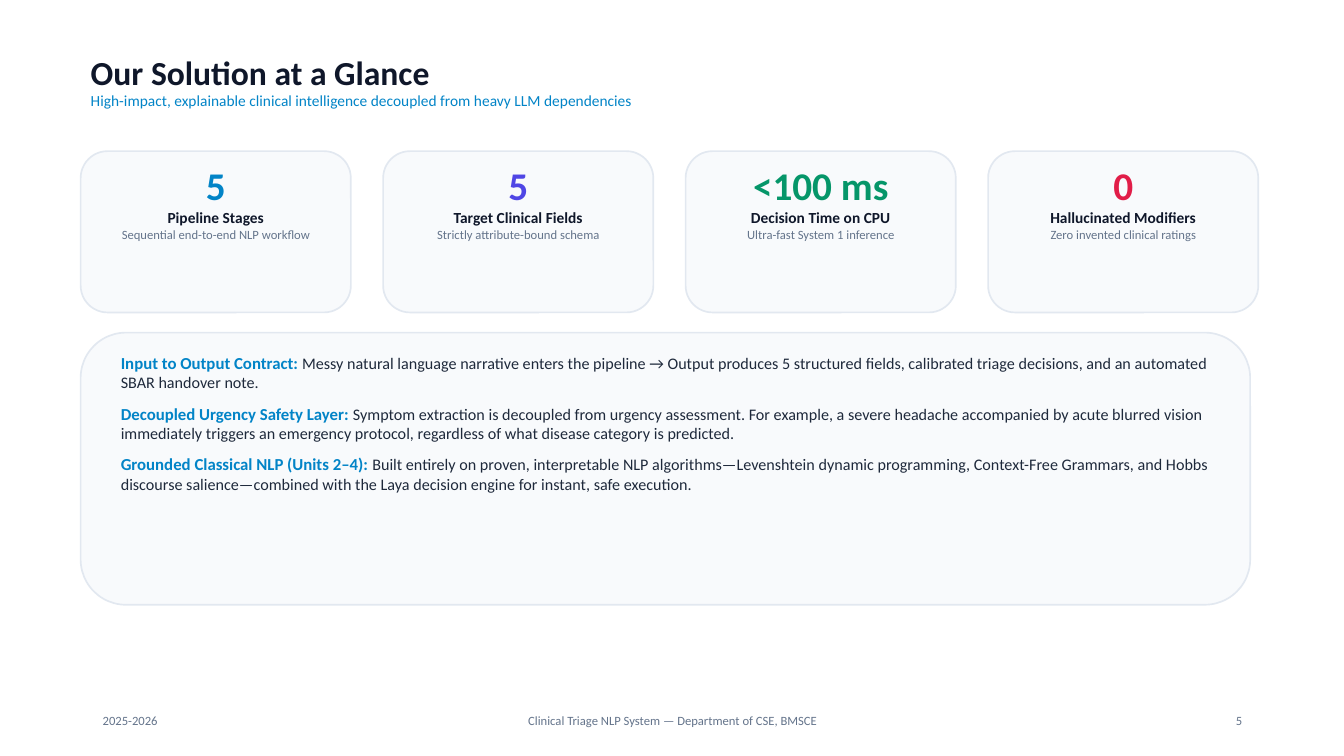
import pptx
import pptx.util
import pptx.dml.color
import pptx.enum.shapes
import pptx.enum.text

Inches, Pt = pptx.util.Inches, pptx.util.Pt
RGBColor = pptx.dml.color.RGBColor
ALIGN = pptx.enum.text.PP_ALIGN
ANCHOR = pptx.enum.text.MSO_ANCHOR

INK = RGBColor(0x0F, 0x17, 0x2A)
BODY = RGBColor(0x1E, 0x29, 0x3B)
MUTED = RGBColor(0x64, 0x74, 0x8B)
PANEL = RGBColor(0xF8, 0xFA, 0xFC)
BORDER = RGBColor(0xE2, 0xE8, 0xF0)
BLUE = RGBColor(0x02, 0x84, 0xC7)
INDIGO = RGBColor(0x4F, 0x46, 0xE5)
GREEN = RGBColor(0x05, 0x96, 0x69)
RED = RGBColor(0xE1, 0x1D, 0x48)
FONT = "Calibri"

TITLE = "Our Solution at a Glance"
SUBTITLE = "High-impact, explainable clinical intelligence decoupled from heavy LLM dependencies"
METRICS = [
    ("5", "Pipeline Stages", "Sequential end-to-end NLP workflow", BLUE),
    ("5", "Target Clinical Fields", "Strictly attribute-bound schema", INDIGO),
    ("<100 ms", "Decision Time on CPU", "Ultra-fast System 1 inference", GREEN),
    ("0", "Hallucinated Modifiers", "Zero invented clinical ratings", RED),
]
DETAILS = [
    ("Input to Output Contract: ",
     "Messy natural language narrative enters the pipeline → Output produces 5 structured "
     "fields, calibrated triage decisions, and an automated SBAR handover note."),
    ("Decoupled Urgency Safety Layer: ",
     "Symptom extraction is decoupled from urgency assessment. For example, a severe headache "
     "accompanied by acute blurred vision immediately triggers an emergency protocol, "
     "regardless of what disease category is predicted."),
    ("Grounded Classical NLP (Units 2–4): ",
     "Built entirely on proven, interpretable NLP algorithms—Levenshtein dynamic programming, "
     "Context-Free Grammars, and Hobbs discourse salience—combined with the Laya decision "
     "engine for instant, safe execution."),
]
FOOTERS = [
    ("2025-2026", 0.92, 3, ALIGN.LEFT),
    ("Clinical Triage NLP System — Department of CSE, BMSCE", 4.42, 4.5, ALIGN.CENTER),
    ("5", 9.42, 3, ALIGN.RIGHT),
]

LEFT = 0.8
CARD_STEP, CARD_TOP, CARD_W, CARD_H = 3, 1.5, 2.68, 1.6
PANEL_TOP, PANEL_W, PANEL_H = 3.3, 11.6, 2.7


def add_panel(slide, x, y, w, h):
    sp = slide.shapes.add_shape(pptx.enum.shapes.MSO_SHAPE.ROUNDED_RECTANGLE,
                                Inches(x), Inches(y), Inches(w), Inches(h))
    sp.shadow.inherit = False
    sp.fill.solid()
    sp.fill.fore_color.rgb = PANEL
    sp.line.color.rgb = BORDER
    sp.line.width = Pt(1.2)


def add_text(slide, x, y, w, h, anchor=ANCHOR.TOP):
    tf = slide.shapes.add_textbox(Inches(x), Inches(y), Inches(w), Inches(h)).text_frame
    tf.word_wrap = True
    tf.vertical_anchor = anchor
    return tf


def style(font, size, color, bold=False):
    font.name = FONT
    font.size = Pt(size)
    font.color.rgb = color
    font.bold = bold


def fill_lines(tf, lines, align, spacing=None):
    for i, (text, size, color, bold) in enumerate(lines):
        p = tf.paragraphs[0] if i == 0 else tf.add_paragraph()
        p.text = text
        p.alignment = align
        p.line_spacing = spacing
        style(p.font, size, color, bold)


def add_title(slide):
    sp = slide.shapes.title
    sp.left, sp.top, sp.width, sp.height = (Inches(v) for v in (LEFT, 0.35, 10.2, 0.95))
    tf = sp.text_frame
    tf.auto_size = pptx.enum.text.MSO_AUTO_SIZE.NONE
    tf.vertical_anchor = ANCHOR.MIDDLE
    fill_lines(tf, [(TITLE, 24, INK, True), (SUBTITLE, 11, BLUE, False)], ALIGN.LEFT, 0.9)


def add_metrics(slide):
    for i, (value, label, note, color) in enumerate(METRICS):
        x = LEFT + i * CARD_STEP
        add_panel(slide, x, CARD_TOP, CARD_W, CARD_H)
        tf = add_text(slide, x + 0.15, CARD_TOP + 0.05, CARD_W - 0.3, CARD_H - 0.1)
        fill_lines(tf, [(value, 28, color, True), (label, 11, INK, True),
                        (note, 9, MUTED, False)], ALIGN.CENTER)


def add_details(slide):
    add_panel(slide, LEFT, PANEL_TOP, PANEL_W, PANEL_H)
    tf = add_text(slide, LEFT + 0.3, PANEL_TOP + 0.15, PANEL_W - 0.6, PANEL_H - 0.3)
    for i, (label, text) in enumerate(DETAILS):
        p = tf.paragraphs[0] if i == 0 else tf.add_paragraph()
        if i:
            p.space_before = Pt(8)
        style(p.font, 11.5, BODY)
        r = p.add_run()
        r.text = label
        style(r.font, 12, BLUE, True)
        p.add_run().text = text


def add_footers(slide):
    for text, x, w, align in FOOTERS:
        tf = add_text(slide, x, 6.95, w, 0.4, ANCHOR.MIDDLE)
        fill_lines(tf, [(text, 9, MUTED, False)], align)


def main():
    prs = pptx.Presentation()
    prs.slide_width, prs.slide_height = Inches(13.33), Inches(7.5)
    slide = prs.slides.add_slide(prs.slide_layouts[5])
    add_title(slide)
    add_footers(slide)
    add_metrics(slide)
    add_details(slide)
    prs.save("out.pptx")


if __name__ == "__main__":
    main()
